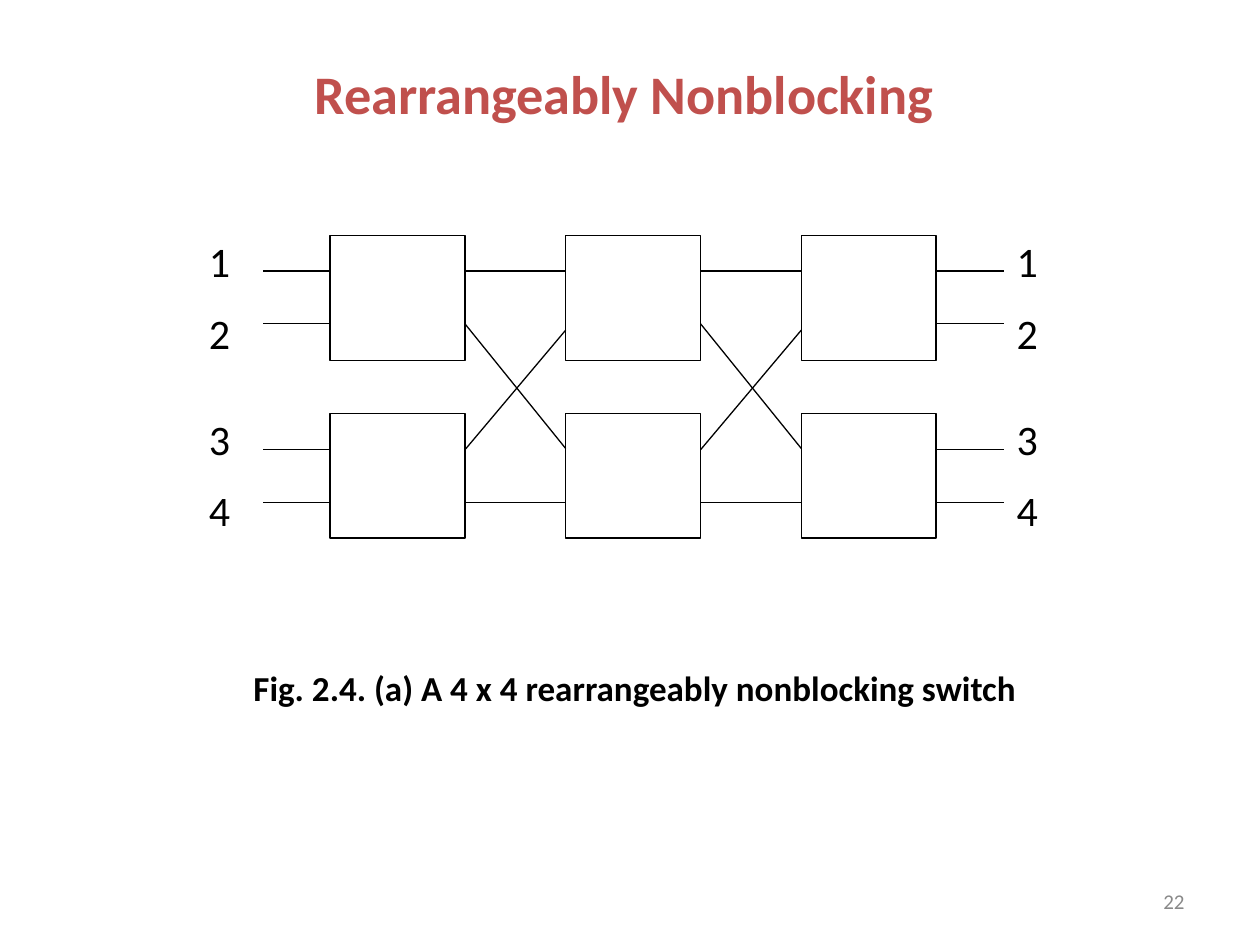
from lxml import etree
from pptx import Presentation, util as u
from pptx.dml.color import RGBColor
from pptx.enum import shapes as sh, text as tx
from pptx.oxml.ns import qn

UNIT = 9144  # EMU in one px, 100 px to the inch
HUE = {"ink": "000000", "title": "C0504D", "page": "898989"}
LEFT, MID, RIGHT = tx.PP_ALIGN.LEFT, tx.PP_ALIGN.CENTER, tx.PP_ALIGN.RIGHT


def px(*vals):
    return [u.Emu(v * UNIT) for v in vals]


def write(slide, words, box, size, hue="ink", bold=False, align=MID,
          anchor=tx.MSO_ANCHOR.MIDDLE, wrap=True):
    frame = slide.shapes.add_textbox(*px(*box)).text_frame
    frame.word_wrap = wrap
    frame.vertical_anchor = anchor
    para = frame.paragraphs[0]
    para.alignment = align
    run = para.add_run()
    run.text = words
    font = run.font
    font.name, font.size, font.bold = "Calibri", u.Pt(size), bold
    font.color.rgb = RGBColor.from_string(HUE[hue])


def ink(line):
    line.color.rgb = RGBColor.from_string(HUE["ink"])
    line.width = u.Pt(0.75)


def wire(slide, x1, y1, x2, y2):
    link = slide.shapes.add_connector(sh.MSO_CONNECTOR.STRAIGHT,
                                      *px(x1, y1, x2, y2))
    ink(link.line)
    etree.SubElement(link._element.spPr, qn("a:effectLst"))


def switch(slide, x, y, w, h):
    box = slide.shapes.add_shape(sh.MSO_SHAPE.RECTANGLE, *px(x, y, w, h))
    box.shadow.inherit = False
    box.fill.background()
    ink(box.line)


def network(slide, left, top, width):
    """Three stages of two switches, with four ports on each side."""
    wide, high, step, drop = 107, 99, 187, 141
    stages = [left + 106 + step * i for i in range(3)]
    ports = [top + 33 + 42 * j + 142 * r for r in range(2) for j in range(2)]
    end = stages[-1] + wide

    # Switches
    for x in stages:
        for r in range(2):
            switch(slide, x, top + 5 + drop * r, wide, high)

    # Outer wires and port numbers
    for n, y in enumerate(ports):
        wire(slide, left + 53, y, stages[0], y)
        wire(slide, end, y, end + 54, y)
        row = top + 57 * (n % 2) + drop * (n // 2)
        for x in (left, left + width - 37):
            write(slide, str(n + 1), (x, row, 37, 50), 24, align=LEFT,
                  anchor=tx.MSO_ANCHOR.TOP, wrap=False)

    # Wires between stages: straight outside, crossed inside
    first, second, third, last = ports
    for x in stages[:-1]:
        a, b = x + wide, x + step
        wire(slide, a, first, b, first)
        wire(slide, a, second, b, third - 1)
        wire(slide, a, third, b, second + 5)
        wire(slide, a, last, b, last)


def main():
    deck = Presentation()
    deck.slide_width, deck.slide_height = px(1000, 750)
    slide = deck.slides.add_slide(deck.slide_layouts[6])
    write(slide, "Rearrangeably Nonblocking", (70, 36, 850, 75), 31,
          hue="title", bold=True)
    network(slide, 156, 182, 678)
    write(slide, "Fig. 2.4. (a) A 4 x 4 rearrangeably nonblocking switch",
          (83, 508, 842, 75), 20, bold=True)
    write(slide, "22", (717, 695, 233, 40), 12, hue="page", align=RIGHT)
    deck.save("out.pptx")


if __name__ == "__main__":
    main()
